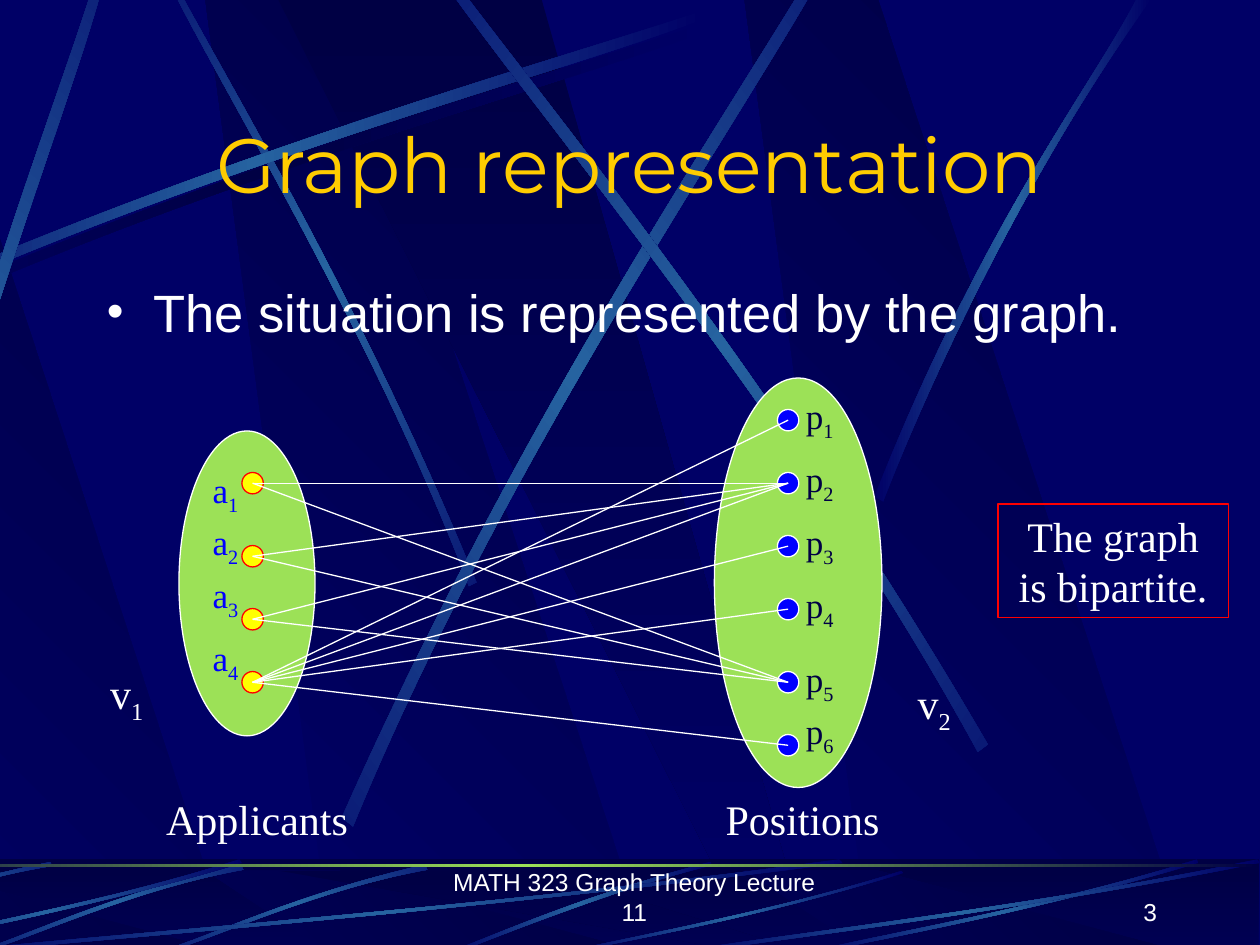
from math import cos, radians, sin
from lxml.etree import SubElement
from pptx import Presentation
from pptx.dml.color import RGBColor
from pptx.enum.shapes import MSO_CONNECTOR, MSO_SHAPE
from pptx.enum.text import MSO_ANCHOR, PP_ALIGN
from pptx.oxml import parse_xml
from pptx.oxml.ns import nsdecls, qn
from pptx.util import Cm, Pt

HUES = {"navy": "000066", "dark": "000044", "steel": "2663A0", "green": "9CE157",
        "gold": "FFCC00", "white": "FFFFFF", "yellow": "FFFF00",
        "red": "FF0000", "blue": "0000FF"}
SANS, SERIF, HEAD = "Arial", "Times New Roman", "Montserrat"

TITLE = "Graph representation"
POINT = "The situation is represented by the graph."
FOOT = "MATH 323 Graph Theory Lecture 11"
NOTE = "The graph is bipartite."

SETS = [
    {"name": "Applicants", "oval": (1.42, 3.42, 1.08, 2.42), "sign": "a",
     "hues": ("yellow", "red", "blue"), "left": 1.92, "tops": [3.75, 4.33, 4.83, 5.33],
     "label": (1.5, 0.58), "rows": [3.67, 4.08, 4.5, 5],
     "mark": ("1", 0.67, 5.25), "foot": 1},
    {"name": "Positions", "oval": (5.67, 3, 1.33, 3.25), "sign": "p",
     "hues": ("blue", "white", "dark"), "left": 6.17,
     "tops": [3.25, 3.75, 4.25, 4.75, 5.33, 5.83],
     "label": (6.17, 0.67), "rows": [3.08, 3.58, 4.08, 4.58, 5.17, 5.58],
     "mark": ("2", 7.08, 5.33), "foot": 5.33},
]
EDGES = {1: [2, 5], 2: [5, 2], 3: [2, 5], 4: [1, 2, 3, 4, 6]}
DOT = 0.17

PANELS = [
    ((2.63, 5.15, 2.69, 1.63), ("navy", "dark"), 315),
    ((-0.68, 1.84, -0.62, -1.69), ("navy", "dark"), 315),
    ((6.91, 9.44, 6.97, 5.91), ("navy", "dark"), 315),
    ((6, 6.43, 4.3, 2.21), ("dark", "navy"), 90),
]
RAYS = [
    ("dark", 0, (0, 0), [(-1.45, 2.75), (1.63, 1.33), (4.43, 0.58), (5.63, 0.17),
                         (5.66, 0.23), (4.48, 0.68), (1.28, 1.5), (-1.42, 2.85)]),
    ("steel", 45, (2.54, 2.22), [(3.78, 4.62), (2.86, 2.38), (1.77, 0.59), (1.35, -0.21),
                                 (1.31, -0.2), (1.7, 0.61), (2.96, 2.64), (3.72, 4.65)]),
    ("steel", 0, (0, 0), [(-1.52, 2.67), (1.56, 1.25), (4.36, 0.5), (5.56, 0.09),
                          (5.59, 0.15), (4.42, 0.6), (1.21, 1.42), (-1.49, 2.77)]),
    ("steel", 312, (-0.12, 3.16), [(-1.1, 6.39), (-0.56, 3.32), (0.41, 0.95), (0.74, -0.13),
                                   (0.81, -0.11), (0.52, 0.99), (-0.61, 3.68), (-1, 6.45)]),
    ("steel", 321, (4.66, 3.11), [(2.71, 6.49), (4.15, 3.25), (5.85, 0.79), (6.51, -0.34),
                                  (6.58, -0.31), (5.96, 0.84), (4, 3.63), (2.8, 6.56)]),
    ("steel", 35, (5.64, 2.85), [(7.84, 5.91), (6.13, 2.97), (4.27, 0.75), (3.52, -0.27),
                                 (3.46, -0.23), (4.17, 0.81), (6.32, 3.32), (7.76, 5.97)]),
    ("steel", 0, (0, 0), [(6.94, 3.94), (7.82, 1.73), (8.69, 0.65), (9.02, -0.01),
                          (9.14, -0.01), (8.08, 1.45), (7.3, 3.22), (7.01, 3.98)]),
]
LOW = [
    ("steel", 0, (0, 0), [(5.64, 6.84), (4.58, 7.12), (3.89, 7.44), (3.55, 7.56),
                          (3.6, 7.57), (4.03, 7.4), (4.99, 7.02), (5.65, 6.87)]),
    ("steel", 315, (2.4, 7.2), [(3.37, 6.86), (2.44, 7.07), (1.74, 7.39), (1.41, 7.5),
                                (1.42, 7.52), (1.75, 7.42), (2.55, 7.05), (3.39, 6.9)]),
    ("steel", 315, (0.94, 7.2), [(1.91, 6.86), (0.98, 7.07), (0.27, 7.39), (-0.05, 7.5),
                                 (-0.04, 7.52), (0.29, 7.42), (1.09, 7.05), (1.93, 6.9)]),
    ("steel", 315, (-0.57, 7.16), [(0.39, 6.84), (-0.54, 7.02), (-1.23, 7.32), (-1.55, 7.43),
                                   (-1.54, 7.45), (-1.22, 7.36), (-0.43, 7), (0.41, 6.87)]),
    ("steel", 0, (0, 0), [(6.69, 6.85), (3.56, 7.25), (0.72, 7.46), (-0.49, 7.58),
                          (-0.52, 7.56), (0.67, 7.43), (3.92, 7.2), (6.66, 6.82)]),
    ("steel", 0, (0, 0), [(1.92, 6.85), (0.57, 7.25), (-0.66, 7.46), (-1.19, 7.58),
                          (-1.2, 7.56), (-0.68, 7.43), (0.72, 7.2), (1.9, 6.82)]),
    ("steel", 0, (0, 0), [(7.17, 6.93), (6, 7.29), (4.94, 7.47), (4.49, 7.57),
                          (4.47, 7.56), (4.92, 7.45), (6.14, 7.24), (7.16, 6.91)]),
    ("steel", 0, (0, 0), [(9.51, 6.85), (8.16, 7.25), (6.93, 7.46), (6.41, 7.58),
                          (6.4, 7.56), (6.91, 7.43), (8.31, 7.2), (9.5, 6.82)]),
    ("steel", 0, (0, 0), [(10, 6.85), (7.97, 7.25), (6.13, 7.46), (5.35, 7.58),
                          (5.33, 7.56), (6.1, 7.43), (8.2, 7.2), (9.98, 6.82)]),
]


def size(*vals):
    return [Cm(val * 2.54) for val in vals]


def tint(name):
    return RGBColor.from_string(HUES[name])


def blend(shape, names, angle):
    shape.shadow.inherit = False
    shape.line.fill.background()
    shape.fill.gradient()
    stops = "".join(
        f'<a:gs pos="{100000 * n // (len(names) - 1)}"><a:srgbClr val="{HUES[name]}"/></a:gs>'
        for n, name in enumerate(names))
    props = shape.element.spPr
    props.replace(props.find(qn("a:gradFill")), parse_xml(
        f'<a:gradFill {nsdecls("a")} rotWithShape="1"><a:gsLst>{stops}</a:gsLst>'
        f'<a:lin ang="{angle * 60000}" scaled="0"/></a:gradFill>'))


def outline(dots):
    first, *rest = [size(*dot) for dot in dots]
    form = back.shapes.build_freeform(*first)
    form.add_line_segments(rest, close=True)
    return form.convert_to_shape()


def bend(legs):
    curve = parse_xml(f'<a:cubicBezTo {nsdecls("a")}/>')
    legs[0].addprevious(curve)
    for leg in legs:
        curve.append(leg[0])
        leg.getparent().remove(leg)


def ray(hue, turn, mid, dots):
    c, s = cos(radians(turn)), sin(radians(turn))
    shape = outline([(mid[0] + (x - mid[0]) * c + (y - mid[1]) * s,
                      mid[1] - (x - mid[0]) * s + (y - mid[1]) * c) for x, y in dots])
    legs = list(shape.element.iter(qn("a:lnTo")))
    bend(legs[:3])
    bend(legs[4:7])
    shape.rotation = turn
    blend(shape, ("navy", hue, "navy"), 0)


def panels(top, base):
    for xs, names, angle in PANELS:
        blend(outline(zip(xs, (base, base, top, top))), names, angle)


def solid(home, kind, box, hue=None, edge=None):
    shape = home.add_shape(kind, *size(*box))
    shape.shadow.inherit = False
    if hue:
        shape.fill.solid()
        shape.fill.fore_color.rgb = tint(hue)
    else:
        shape.fill.background()
    if edge:
        shape.line.color.rgb = tint(edge)
        shape.line.width = Pt(0.75)
    else:
        shape.line.fill.background()
    return shape


def write(shape, text, points, face=SERIF, hue="white", sub="",
          align=PP_ALIGN.CENTER, anchor=MSO_ANCHOR.TOP, bullet=False):
    frame = shape.text_frame
    frame.word_wrap = True
    frame.vertical_anchor = anchor
    para = frame.paragraphs[0]
    para.text = text
    para.alignment = align
    if sub:
        run = para.add_run()
        run.text = sub
        run._r.get_or_add_rPr().set("baseline", "-25000")
    if bullet:
        props = para._p.get_or_add_pPr()
        props.set("marL", str(Cm(0.94)))
        props.set("indent", str(Cm(-0.94)))
        SubElement(props, qn("a:buSzPct"), val="91000")
        SubElement(props, qn("a:buFont"), typeface=face)
        SubElement(props, qn("a:buChar"), char="•")
    para.font.size = Pt(points)
    para.font.name = face
    para.font.color.rgb = tint(hue)


def label(box, *args, **extra):
    write(shapes.add_textbox(*size(*box)), *args, **extra)


deck = Presentation()
deck.slide_width, deck.slide_height = size(10, 7.5)
slide = deck.slides.add_slide(deck.slide_layouts[5])
shapes = slide.shapes
slide.background.fill.solid()
slide.background.fill.fore_color.rgb = tint("navy")

back = shapes.add_group_shape()
panels(0, 7.54)
for item in RAYS:
    ray(*item)
band = (-1.69, 6.82, 11.68, 0.75)
blend(solid(back.shapes, MSO_SHAPE.RECTANGLE, band), ("dark", "navy"), 90)
panels(6.91, 7.57)
veil = solid(back.shapes, MSO_SHAPE.RECTANGLE, band, "dark")
SubElement(next(veil.element.spPr.iter(qn("a:srgbClr"))), qn("a:alpha"), val="50000")
for item in LOW:
    ray(*item)
blend(solid(back.shapes, MSO_SHAPE.RECTANGLE, (-1.69, 6.86, 11.68, 0.02)),
      ("dark", "green", "dark"), 0)
for n, node in enumerate(back.element.iter(qn("p:cNvPr")), 100):
    node.set("id", str(n))
deck.slide_master.placeholders[0].element.addprevious(back.element)

label((3.45, 6.9, 3.17, 0.5), FOOT, 14, SANS, anchor=MSO_ANCHOR.BOTTOM)
label((7.2, 6.9, 2.08, 0.5), "3", 14, SANS, align=PP_ALIGN.RIGHT, anchor=MSO_ANCHOR.BOTTOM)
title = shapes.title
title.left, title.top, title.width, title.height = size(0.75, 0.88, 8.5, 0.83)
write(title, TITLE, 44, HEAD, "gold", anchor=MSO_ANCHOR.MIDDLE)
label((0.75, 2.17, 8.5, 0.67), POINT, 30, SANS, align=PP_ALIGN.LEFT, bullet=True)

for group in SETS:
    solid(shapes, MSO_SHAPE.OVAL, group["oval"], "green", "white")
for group in SETS:
    for top in group["tops"]:
        solid(shapes, MSO_SHAPE.OVAL, (group["left"], top, DOT, DOT), *group["hues"][:2])

ones, jobs = SETS
for one, goals in EDGES.items():
    for job in goals:
        ends = size(ones["left"] + DOT / 2, ones["tops"][one - 1] + DOT / 2,
                    jobs["left"] + DOT / 2, jobs["tops"][job - 1] + DOT / 2)
        edge = shapes.add_connector(MSO_CONNECTOR.STRAIGHT, *ends)
        edge.line.color.rgb = tint("white")
        edge.line.width = Pt(0.75)
        SubElement(edge.element.spPr, qn("a:effectLst"))

for group in SETS:
    left, width = group["label"]
    for n, top in enumerate(group["rows"], 1):
        label((left, top, width, 0.48), group["sign"], 20, hue=group["hues"][2], sub=str(n))
    sub, left, top = group["mark"]
    label((left, top, 0.67, 0.56), "v", 24, sub=sub)
    label((group["foot"], 6.25, 2.08, 0.5), group["name"], 24)

write(solid(shapes, MSO_SHAPE.RECTANGLE, (7.92, 4, 1.83, 0.9), edge="red"), NOTE, 24)
deck.save("out.pptx")
